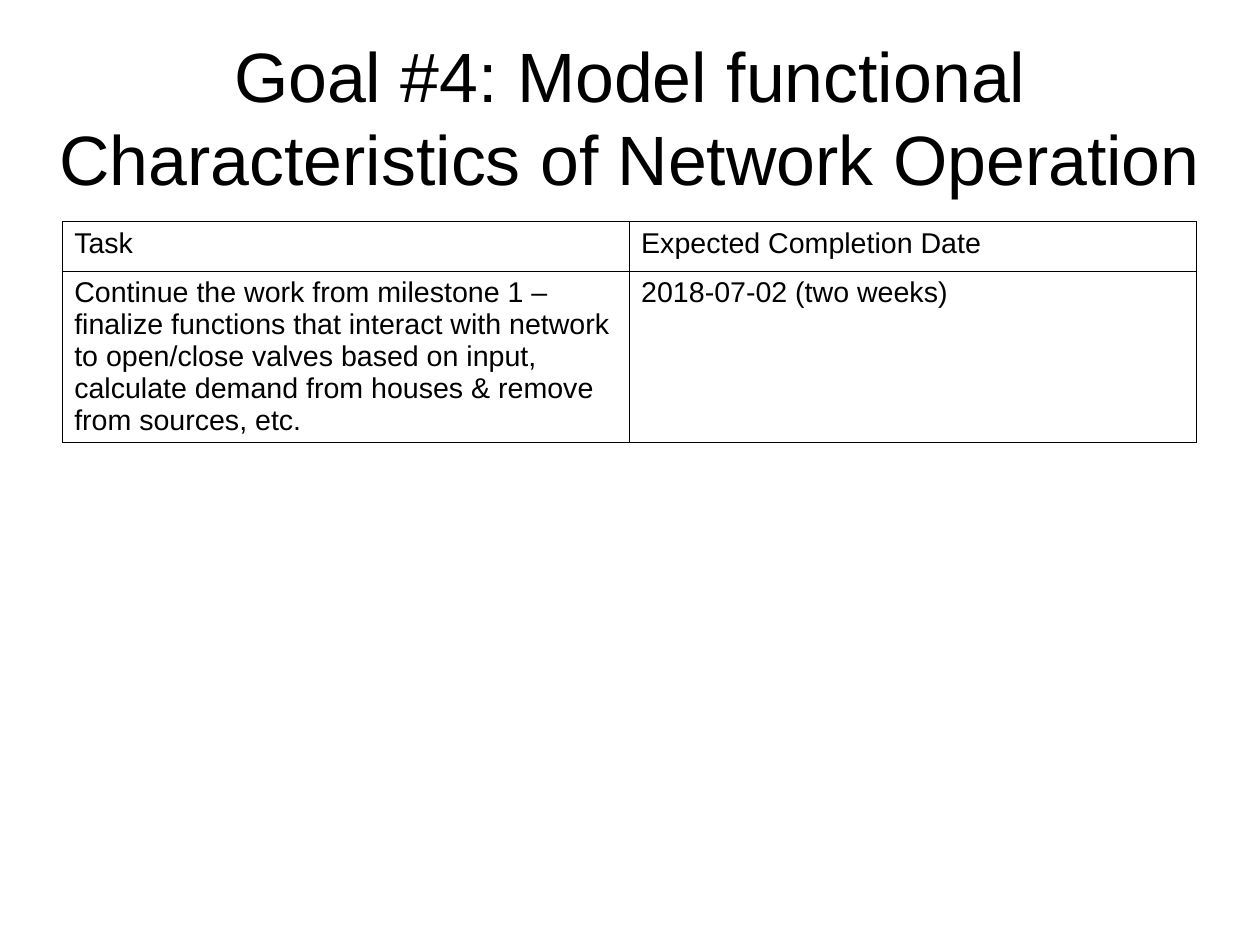
from dataclasses import dataclass

from pptx import Presentation
from pptx.dml.color import RGBColor
from pptx.enum.text import MSO_ANCHOR as Anchor, PP_ALIGN as Align
from pptx.oxml import parse_xml
from pptx.oxml.ns import nsdecls
from pptx.slide import Slide
from pptx.table import _Cell as Cell
from pptx.text.text import _Paragraph as Paragraph
from pptx.util import Inches, Pt


@dataclass(frozen=True)
class Theme:
    font: str = "Arial"
    ink: str = "000000"
    paper: str = "FFFFFF"
    title_size: float = 44
    cell_size: float = 18
    border_width: float = 0.57


@dataclass(frozen=True)
class TaskRow:
    task: str
    due: str
    height: float


THEME = Theme()
CM_PER_INCH = 2.54
TITLE = "Goal #4: Model functional Characteristics of Network Operation"
COLUMN_WIDTH = 4.96
ROWS = [
    TaskRow("Task", "Expected Completion Date", 0.43),
    TaskRow(
        "Continue the work from milestone 1 – finalize functions that interact "
        "with network to open/close valves based on input, calculate demand "
        "from houses & remove from sources, etc.",
        "2018-07-02 (two weeks)",
        1.5,
    ),
]


def add_span(para: Paragraph, text: str, size: float) -> None:
    span = para.add_run()
    span.text = text
    span.font.name = THEME.font
    span.font.size = Pt(size)
    span.font.color.rgb = RGBColor.from_string(THEME.ink)


def add_title(page: Slide) -> None:
    box = page.shapes.add_textbox(Inches(0.39), Inches(-0.01), Inches(10.25), Inches(2.05))
    frame = box.text_frame
    frame.word_wrap = True
    frame.vertical_anchor = Anchor.MIDDLE
    frame.margin_left = frame.margin_right = frame.margin_top = frame.margin_bottom = 0
    para = frame.paragraphs[0]
    para.alignment = Align.CENTER
    add_span(para, TITLE, THEME.title_size)


def style_cell(cell: Cell) -> None:
    # Borders come before the fill in the cell properties
    properties = cell._tc.get_or_add_tcPr()
    for side in ("lnL", "lnR", "lnT", "lnB"):
        properties.append(parse_xml(
            f'<a:{side} {nsdecls("a")} w="{Pt(THEME.border_width)}"><a:solidFill>'
            f'<a:srgbClr val="{THEME.ink}"/></a:solidFill></a:{side}>'
        ))
    cell.fill.solid()
    cell.fill.fore_color.rgb = RGBColor.from_string(THEME.paper)
    cell.margin_left = cell.margin_right = Inches(0.1)
    cell.margin_top = cell.margin_bottom = Inches(0.05)


def add_task_table(page: Slide) -> None:
    total_height = sum(row.height for row in ROWS)
    table = page.shapes.add_table(
        len(ROWS), 2, Inches(0.55), Inches(1.94),
        Inches(2 * COLUMN_WIDTH), Inches(total_height),
    ).table
    table.horz_banding = False
    table.first_row = False
    for column in table.columns:
        column.width = Inches(COLUMN_WIDTH)
    for row_index, row in enumerate(ROWS):
        table.rows[row_index].height = Inches(row.height)
        for column_index, text in enumerate((row.task, row.due)):
            cell = table.cell(row_index, column_index)
            style_cell(cell)
            add_span(cell.text_frame.paragraphs[0], text, THEME.cell_size)


def main() -> None:
    deck = Presentation()
    # A page of 28 by 21 centimetres
    deck.slide_width = Inches(28 / CM_PER_INCH)
    deck.slide_height = Inches(21 / CM_PER_INCH)
    page = deck.slides.add_slide(deck.slide_layouts[6])
    # Task table, then the title above it
    add_task_table(page)
    add_title(page)
    deck.save("out.pptx")


if __name__ == "__main__":
    main()
